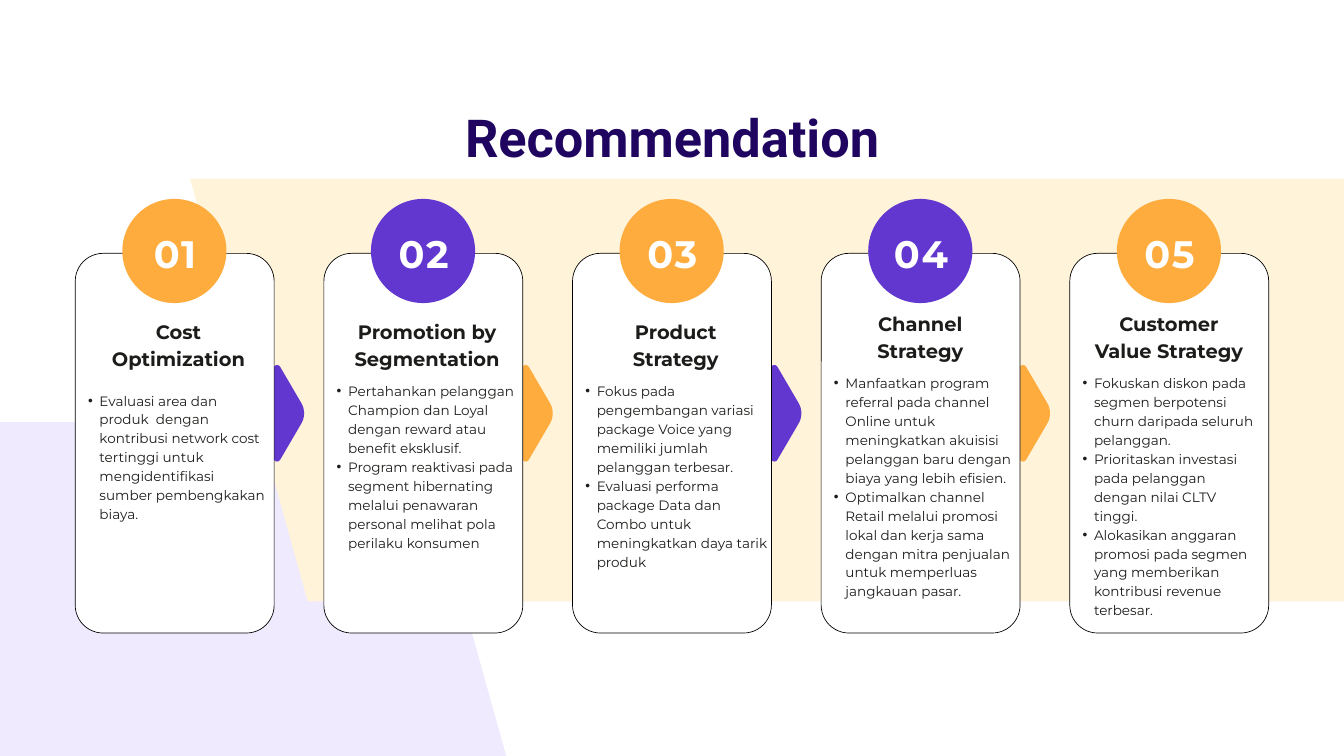
from copy import deepcopy
from lxml.etree import SubElement as Sub
from pptx import Presentation as Deck
from pptx.dml.color import RGBColor as Rgb
from pptx.enum.shapes import MSO_SHAPE as Kind
from pptx.enum.text import MSO_ANCHOR as Anchor, MSO_AUTO_SIZE as Fit, PP_ALIGN as Align
from pptx.oxml.ns import qn
from pptx.util import Inches, Pt

COLS, ROWS = 20, 11.25
CELL = Inches(20) / COLS
LEFT, STEP = 1.12, 3.7

HUE = {
    "lilac": "F0EAFF", "cream": "FFF3D9", "navy": "1F0560", "violet": "6237CF",
    "amber": "FEAC3D", "white": "FFFFFF", "black": "000000", "ink": "1C1C1A",
}

# heading, heading column and row, list row and width, list items
CARDS = [
    ("Cost Optimization", 0.4, 4.7, 5.8, 2.85, [
        "Evaluasi area dan produk  dengan kontribusi network cost tertinggi untuk mengidentifikasi sumber pembengkakan biaya."]),
    ("Promotion by Segmentation", 0.4, 4.7, 5.66, 2.93, [
        "Pertahankan pelanggan Champion dan Loyal dengan reward atau benefit eksklusif.",
        "Program reaktivasi pada segment hibernating melalui penawaran personal melihat pola perilaku konsumen"]),
    ("Product Strategy", 0.4, 4.7, 5.66, 2.91, [
        "Fokus pada pengembangan variasi package Voice yang memiliki jumlah pelanggan terbesar.",
        "Evaluasi performa package Data dan Combo untuk meningkatkan daya tarik produk"]),
    ("Channel Strategy", 0.34, 4.58, 5.54, 2.83, [
        "Manfaatkan program referral pada channel Online untuk meningkatkan akuisisi pelanggan baru dengan biaya yang lebih efisien.",
        "Optimalkan channel Retail melalui promosi lokal dan kerja sama dengan mitra penjualan untuk memperluas jangkauan pasar."]),
    ("Customer Value Strategy", 0.34, 4.58, 5.54, 2.77, [
        "Fokuskan diskon pada segmen berpotensi churn daripada seluruh pelanggan.",
        "Prioritaskan investasi pada pelanggan dengan nilai CLTV tinggi.",
        "Alokasikan anggaran promosi pada segmen yang memberikan kontribusi revenue terbesar."]),
]


def span(n):
    return round(n * CELL)


def color(name):
    return Rgb.from_string(HUE[name])


def paint(shape, fill, line=None):
    shape.shadow.inherit = False
    shape.fill.solid()
    shape.fill.fore_color.rgb = color(fill)
    if line:
        shape.line.color.rgb = color(line)
        shape.line.width = Pt(0.75)
    else:
        shape.line.fill.background()


def outline(slide, points, fill):
    spots = [(span(x), span(y)) for x, y in points]
    pen = slide.shapes.build_freeform(*spots[0])
    pen.add_line_segments(spots[1:], close=True)
    paint(pen.convert_to_shape(), fill)


def band(slide, x, y, width, fill):
    lean, deep = 1.75, 6.29
    outline(slide, [(x, y), (x + width, y), (x + width + lean, y + deep), (x + lean, y + deep)], fill)


def bend(a, b, c, d, count=8):
    for i in range(count + 1):
        t = i / count
        s = 1 - t
        yield tuple(s**3 * p + 3 * s * s * t * q + 3 * s * t * t * r + t**3 * u
                    for p, q, r, u in zip(a, b, c, d))


def arrow(slide, x, fill):
    top, mid = 5.43, 0.72
    half = [(0, mid), *bend((0, 0.06), (0, 0), (0.07, -0.02), (0.1, 0.03)),
            *bend((0.41, 0.56), (0.44, 0.61), (0.455, 0.66), (0.455, mid))]
    ring = half + [(a, 2 * mid - b) for a, b in reversed(half)]
    outline(slide, [(x + a, top + b) for a, b in ring], fill)


def block(slide, kind, x, y, wide, high, fill, line=None):
    shape = slide.shapes.add_shape(kind, span(x), span(y), span(wide), span(high))
    paint(shape, fill, line)
    return shape


def place(shape, x, y, wide, high):
    shape.left, shape.top, shape.width, shape.height = map(span, (x, y, wide, high))


def write(shape, lines, size, lead, hue, face="Montserrat", bold=False, align=Align.CENTER, dot=False):
    frame = shape.text_frame
    frame.margin_left = frame.margin_right = frame.margin_top = frame.margin_bottom = 0
    frame.word_wrap = True
    frame.auto_size = Fit.NONE
    frame.vertical_anchor = Anchor.TOP
    frame.text = "\n".join(lines)
    for para in frame.paragraphs:
        if dot:
            props = para._p.get_or_add_pPr()
            props.set("marL", str(span(0.34)))
            props.set("indent", str(span(-0.17)))
            Sub(props, qn("a:buChar")).set("char", "•")
        para.alignment = align
        para.line_spacing = Pt(lead)
        para.space_before = para.space_after = Pt(0)
        font = para.font
        font.name, font.size, font.bold = face, Pt(size), bold
        font.color.rgb = color(hue)


def label(slide, text, x, y, wide, high, size, lead, hue):
    box = slide.shapes.add_textbox(span(x), span(y), span(wide), span(high))
    write(box, [text], size, lead, hue, bold=True)
    return box


def bullets(slide, body, items, x, y, wide):
    node = deepcopy(body)
    node.nvSpPr.cNvPr.set("id", str(100 + len(slide.shapes)))
    slide.shapes.element.append(node)
    shape = slide.shapes[-1]
    place(shape, x, y, wide, 9.18 - y)
    write(shape, items, 14.5, 20.3, "ink", align=Align.LEFT, dot=True)


def card(slide, body, i, data):
    head, shift, top, row, wide, items = data
    x = LEFT + i * STEP
    tone, other = ("amber", "violet") if i % 2 == 0 else ("violet", "amber")
    if i < len(CARDS) - 1:
        arrow(slide, x + 2.95, other)
    panel = block(slide, Kind.ROUNDED_RECTANGLE, x, 3.77, 2.96, 5.65, "white", "black")
    panel.adjustments[0] = 0.14
    block(slide, Kind.OVAL, x + 0.7, 2.96, 1.55, 1.55, tone)
    bullets(slide, body, items, x + 0.02, row, wide)
    mark = label(slide, f"{i + 1:02}", x + 0.96, 3.31, 1.05, 0.76, 41, 57.4, "white")
    mark.text_frame.paragraphs[0].runs[0]._r.get_or_add_rPr().set("spc", "170")
    label(slide, head, x + shift, top, 2.27, 0.78, 20.8, 29.1, "ink")


def main():
    deck = Deck()
    deck.slide_width, deck.slide_height = span(COLS), span(ROWS)
    slide = deck.slides.add_slide(deck.slide_layouts[1])
    title = slide.shapes.title
    place(title, 4.94, 1.41, 10.13, 1.05)
    write(title, ["Recommendation"], 56, 78.4, "navy", face="Roboto", bold=True)
    body = slide.placeholders[1].element
    slide.shapes.element.remove(body)
    band(slide, -6.4, 6.28, 12.55, "lilac")
    band(slide, 2.83, 2.66, 17.57, "cream")
    for i, data in enumerate(CARDS):
        card(slide, body, i, data)
    deck.save("out.pptx")


if __name__ == "__main__":
    main()
